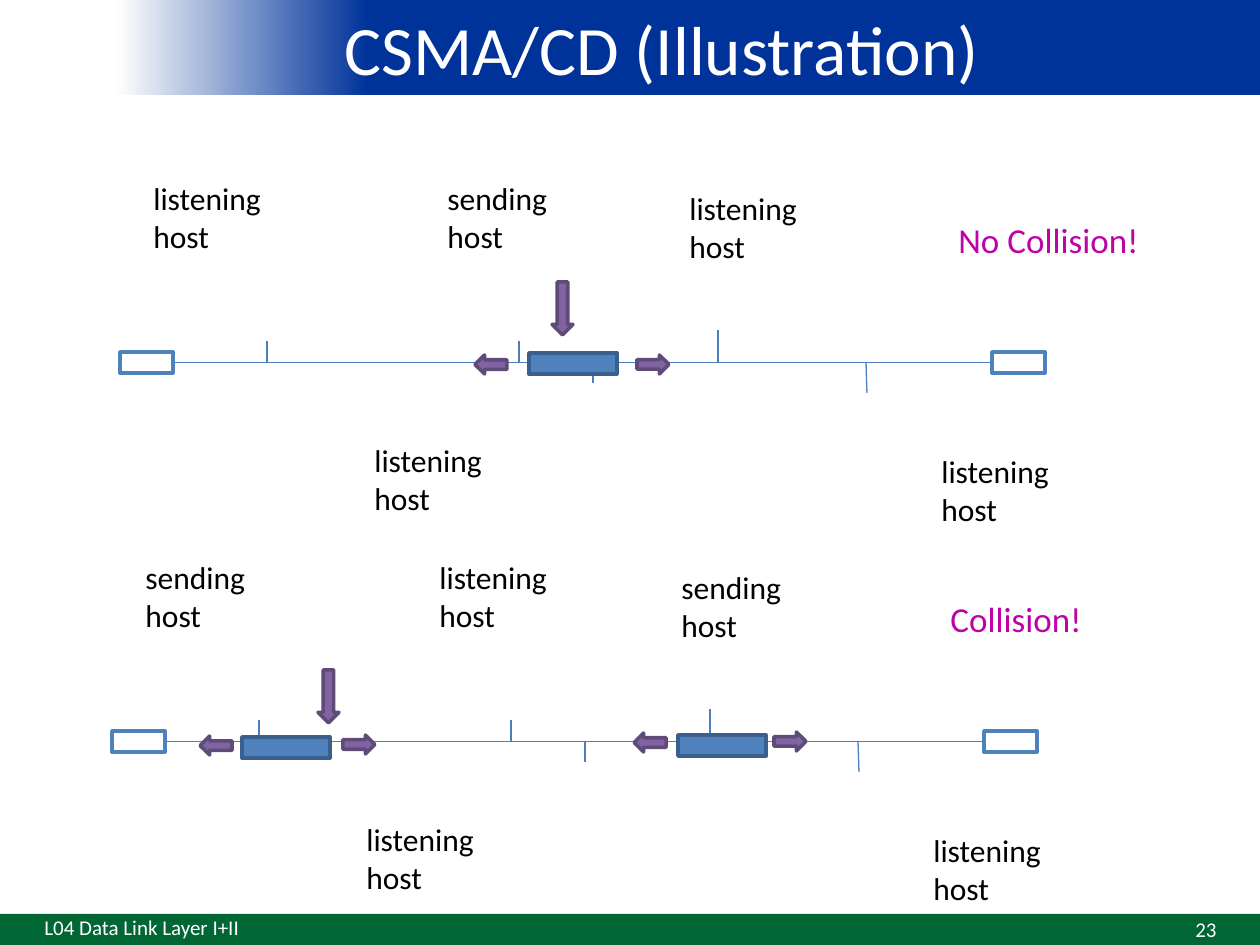
import dataclasses

import pptx
import pptx.dml.color
import pptx.enum.shapes
import pptx.enum.text
import pptx.util

SHAPE = pptx.enum.shapes.MSO_SHAPE
ALIGN = pptx.enum.text.PP_ALIGN
ANCHOR = pptx.enum.text.MSO_ANCHOR


@dataclasses.dataclass(frozen=True)
class Theme:
    """Colours, type sizes and line widths of the slide."""
    font: str = "Calibri"
    white: str = "FFFFFF"
    black: str = "000000"
    banner: str = "003399"
    footer: str = "006633"
    wire: str = "4B7EBC"
    frame: str = "4F81BD"
    frame_edge: str = "3A5F8C"
    arrow: str = "8064A2"
    arrow_edge: str = "5F4A78"
    verdict: str = "BE02A8"
    title_size: float = 39.6
    verdict_size: float = 20
    label_size: float = 18
    footer_size: float = 12
    edge_width: float = 2
    wire_width: float = 0.75


THEME = Theme()
LABEL_WIDTHS = {"listening host": 190, "sending host": 182}
LABEL_SPOTS = [(21, 0), (315, 0), (557, 10), (242, 262), (809, 273)]
TICKS = [(473, 189, 473, 210), (147, 168, 147, 189), (598, 157, 598, 189),
         (746, 189, 747, 220), (399, 168, 399, 189)]


def px(length):
    """Turn px into EMU."""
    return pptx.util.Emu(round(length * 914400 / 126))


def rgb(value):
    """Give the colour object of a hex value."""
    return pptx.dml.color.RGBColor.from_string(value)


def write(box, text, size, colour, align=ALIGN.LEFT, anchor=ANCHOR.TOP, wrap=True):
    """Put one formatted run into a box."""
    frame = box.text_frame
    frame.word_wrap = wrap
    frame.vertical_anchor = anchor
    para = frame.paragraphs[0]
    para.alignment = align
    span = para.add_run()
    span.text = text
    span.font.name = THEME.font
    span.font.size = pptx.util.Pt(size)
    span.font.color.rgb = rgb(colour)


def add_text(page, left, top, width, height, *words, **layout):
    """Add a text box holding one run."""
    box = page.shapes.add_textbox(px(left), px(top), px(width), px(height))
    write(box, *words, **layout)


def add_block(page, kind, left, top, width, height, fill, edge=None):
    """Add a flat preset shape."""
    block = page.shapes.add_shape(kind, px(left), px(top), px(width), px(height))
    block.shadow.inherit = False
    block.fill.solid()
    block.fill.fore_color.rgb = rgb(fill)
    if edge:
        block.line.color.rgb = rgb(edge)
        block.line.width = pptx.util.Pt(THEME.edge_width)
    else:
        block.line.fill.background()
    return block


def add_line(page, x1, y1, x2, y2):
    """Add a thin straight line without shadow."""
    line = page.shapes.add_connector(
        pptx.enum.shapes.MSO_CONNECTOR.STRAIGHT, px(x1), px(y1), px(x2), px(y2))
    line.line.color.rgb = rgb(THEME.wire)
    line.line.width = pptx.util.Pt(THEME.wire_width)
    properties = line.element.spPr
    properties.append(properties.makeelement(pptx.oxml.ns.qn("a:effectLst"), {}))
    return line


def add_banner(page, left, top, width, height):
    """Draw the title band and place the title on it."""
    half = width // 2
    add_block(page, SHAPE.RECTANGLE, left + half, top, half, height, THEME.banner)
    fade = add_block(page, SHAPE.RECTANGLE, left + 95, top, half - 95, height, THEME.banner)
    fade.fill.gradient()
    fade.fill.gradient_angle = 180
    stops = [(0.49, THEME.banner), (0.96, THEME.white)]
    for stop, (position, colour) in zip(fade.fill.gradient_stops, stops):
        stop.position = position
        stop.color.rgb = rgb(colour)
    title = page.shapes.title
    title.left, title.top = px(left + 95), px(top)
    title.width, title.height = px(width - 126), px(height)
    write(title, "CSMA/CD (Illustration)", THEME.title_size, THEME.white,
          ALIGN.CENTER, ANCHOR.MIDDLE)
    tree = page.shapes.element
    tree.remove(title.element)
    tree.append(title.element)


def add_footer(page, left, top, width, height):
    """Draw the footer band with its caption and page number."""
    add_block(page, SHAPE.RECTANGLE, left, top, width, height, THEME.footer)
    style = (THEME.footer_size, THEME.white)
    add_text(page, left + 32, top - 5, 318, 36, "L04 Data Link Layer I+II", *style,
             anchor=ANCHOR.MIDDLE)
    add_text(page, left + width - 325, top, 294, height, "23", *style,
             align=ALIGN.RIGHT, anchor=ANCHOR.MIDDLE)


def add_bus(page, left, top, hosts, verdict, verdict_width, down, frames, rights, lefts):
    """Draw one shared cable with its hosts, frames and verdict."""
    ends = [add_block(page, SHAPE.RECTANGLE, left + x, top + 179, 53, 21,
                      THEME.white, THEME.frame) for x in (0, 872)]
    wire = add_line(page, left + 53, top + 189, left + 872, top + 189)
    wire.begin_connect(ends[0], 3)
    wire.end_connect(ends[1], 1)
    for x1, y1, x2, y2 in TICKS:
        add_line(page, left + x1, top + y1, left + x2, top + y2)
    for host, (x, y) in zip(hosts, LABEL_SPOTS):
        add_text(page, left + x, top + y, LABEL_WIDTHS[host], 50,
                 host, THEME.label_size, THEME.black)
    add_text(page, left + 826, top + 39, verdict_width, 55,
             verdict, THEME.verdict_size, THEME.verdict, wrap=False)
    for x, y in frames:
        add_block(page, SHAPE.RECTANGLE, left + x, top + y, 88, 21,
                  THEME.frame, THEME.frame_edge)
    add_block(page, SHAPE.DOWN_ARROW, left + down[0], top + down[1], 21, 53,
              THEME.arrow, THEME.arrow_edge)
    for spots, turn in ((rights, 0), (lefts, 180)):
        for x, y in spots:
            arrow = add_block(page, SHAPE.RIGHT_ARROW, left + x, top + y, 32, 19,
                              THEME.arrow, THEME.arrow_edge)
            arrow.rotation = turn


def main():
    """Build and save the slide."""
    deck = pptx.Presentation()
    deck.slide_width, deck.slide_height = px(1260), px(945)
    page = deck.slides.add_slide(deck.slide_layouts[5])
    listening, sending = LABEL_WIDTHS
    add_banner(page, 0, 0, 1260, 95)
    add_bus(page, 120, 173, [listening, sending, listening, listening, listening],
            "No Collision!", 218, down=(432, 109), frames=[(409, 180)],
            rights=[(517, 182)], lefts=[(355, 182)])
    add_bus(page, 112, 552, [sending, listening, sending, listening, listening],
            "Collision!", 161, down=(206, 118), frames=[(130, 185), (566, 183)],
            rights=[(231, 183), (662, 180)], lefts=[(88, 184), (522, 181)])
    add_footer(page, 0, 914, 1260, 31)
    deck.save("out.pptx")


if __name__ == "__main__":
    main()
